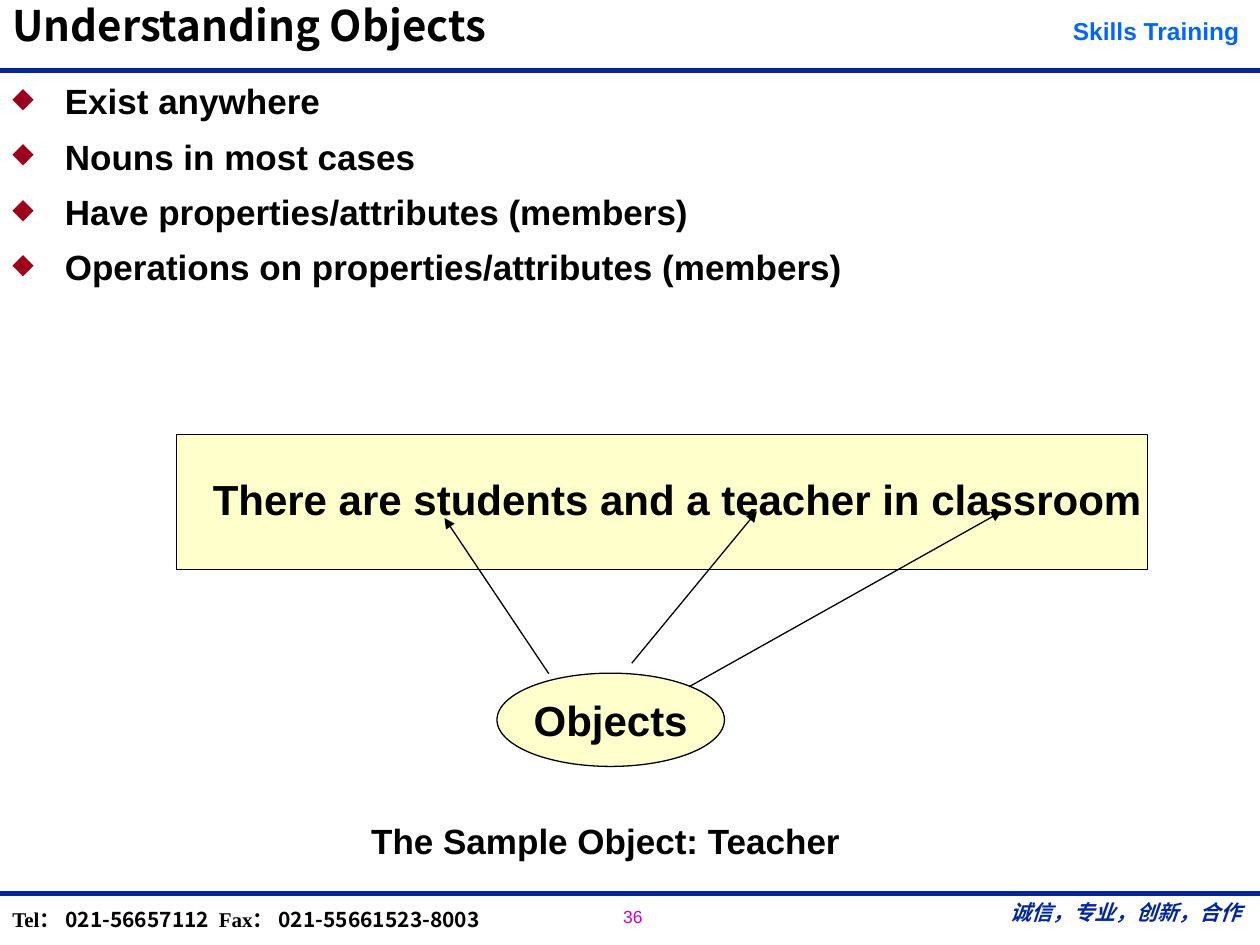
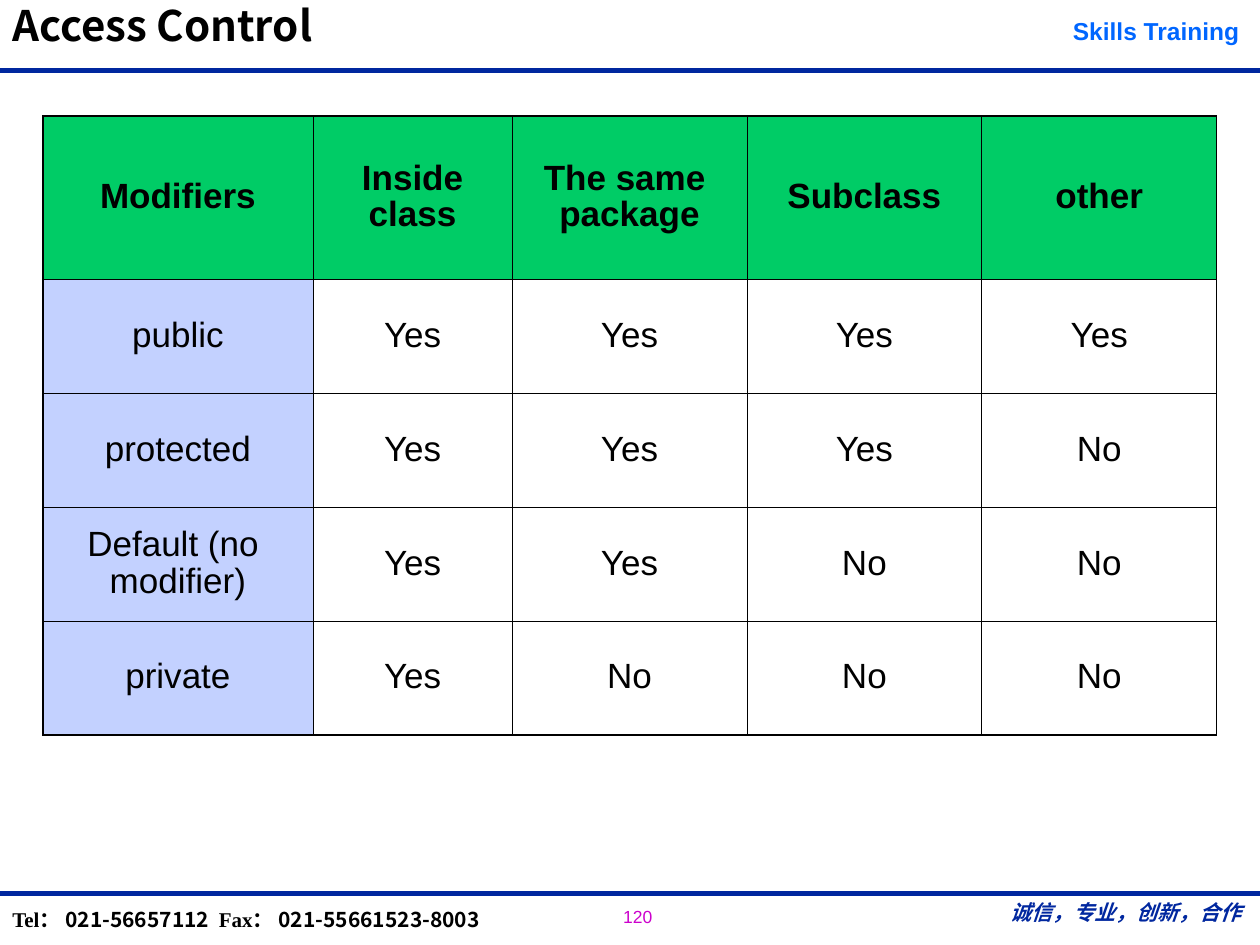
from dataclasses import dataclass
from lxml.etree import SubElement
from pptx import Presentation
from pptx.dml.color import RGBColor
from pptx.enum.shapes import MSO_CONNECTOR, MSO_SHAPE
from pptx.enum.text import MSO_ANCHOR, PP_ALIGN
from pptx.oxml.ns import qn
from pptx.util import Pt


@dataclass(frozen=True)
class Theme:
    black: RGBColor = RGBColor.from_string("000000")
    navy: RGBColor = RGBColor.from_string("00279F")
    blue: RGBColor = RGBColor.from_string("0066FF")
    magenta: RGBColor = RGBColor.from_string("CC00CC")
    cream: RGBColor = RGBColor.from_string("FFFFCC")
    header_green: RGBColor = RGBColor.from_string("00CC66")
    row_blue: RGBColor = RGBColor.from_string("C3D1FF")
    bullet_red: str = "9E001B"
    sans: str = "Arial"
    serif: str = "Times New Roman"
    cjk: str = "Noto Sans CJK SC"
    title: int = 24
    body: int = 20
    brand: int = 14
    footer: int = 12
    number: int = 10


theme = Theme()


def add_text(slide, box, text, size, color=theme.black, name=theme.sans, bold=True,
             align=PP_ALIGN.LEFT):
    """Add a text box with one font; box is left, top, width, height in points."""
    frame = slide.shapes.add_textbox(*[Pt(length) for length in box]).text_frame
    frame.word_wrap = True
    frame.text = text
    for paragraph in frame.paragraphs:
        paragraph.alignment = align
        paragraph.font.size = Pt(size)
        paragraph.font.name = name
        paragraph.font.bold = bold
        paragraph.font.color.rgb = color
    return frame


def add_line(slide, start, end, color, width, arrow=False):
    """Add a straight line between two points, with an optional arrowhead."""
    connector = slide.shapes.add_connector(
        MSO_CONNECTOR.STRAIGHT, *[Pt(length) for length in (*start, *end)])
    connector.line.color.rgb = color
    connector.line.width = Pt(width)
    properties = connector._element.spPr
    if arrow:
        SubElement(properties.find(qn("a:ln")), qn("a:tailEnd"), type="triangle")
    SubElement(properties, qn("a:effectLst"))


presentation = Presentation()
presentation.slide_width = Pt(720)
presentation.slide_height = Pt(540)

# Shared frame: rules, brand, footer, page number and title
contact_runs = [
    ("Tel： ", theme.footer, theme.serif, False),
    ("021-56657112", theme.footer, theme.cjk, False),
    (" ", 24, theme.cjk, True),
    ("Fax： ", theme.footer, theme.serif, False),
    ("021-55661523-8003", theme.footer, theme.cjk, False),
]
slogan_runs = [
    (" ", 18, theme.serif, True),
    ("诚信，专业，创新，合作", theme.footer, theme.serif, True),
]
footers = [
    ((564.5, 504.7, 154, 29), theme.navy, PP_ALIGN.CENTER, slogan_runs),
    ((0, 502.6, 309, 36), theme.black, PP_ALIGN.LEFT, contact_runs),
]
slides = []
for title, page in (("Understanding Objects", "36"), ("Access Control", "120")):
    slide = presentation.slides.add_slide(presentation.slide_layouts[6])
    slides.append(slide)
    for rule_top in (40.5, 510.5):
        add_line(slide, (0, rule_top), (720, rule_top), theme.navy, 2.75)
    add_text(slide, (349, 514, 60, 19), page, theme.number, theme.magenta, bold=False)
    add_text(slide, (603.4, 5.8, 114.5, 24), "Skills Training", theme.brand, theme.blue,
             align=PP_ALIGN.CENTER)
    for box, color, align, runs in footers:
        paragraph = add_text(slide, box, "", theme.footer, color, theme.serif,
                             align=align).paragraphs[0]
        for text, size, name, italic in runs:
            run = paragraph.add_run()
            run.text = text
            run.font.size = Pt(size)
            run.font.name = name
            run.font.italic = italic
            SubElement(run._r.get_or_add_rPr(), qn("a:ea"), typeface=theme.cjk)
    heading = add_text(slide, (0, 0, 600.5, 41), title, theme.title, name=theme.cjk)
    heading.paragraphs[0].line_spacing = 0.87

objects_slide, access_slide = slides

# Bulleted facts about objects
facts = [
    "Exist anywhere",
    "Nouns in most cases",
    "Have properties/attributes (members)",
    "Operations on properties/attributes (members)",
]
facts_frame = add_text(objects_slide, (0, 46, 720, 140), "\n".join(facts), theme.body)
for paragraph in facts_frame.paragraphs:
    paragraph.line_spacing = Pt(19.9)
    paragraph.space_before = paragraph.space_after = Pt(5.9)
    properties = paragraph._p.get_or_add_pPr()
    properties.set("marL", str(Pt(30)))
    properties.set("indent", str(Pt(-30)))
    bullet_color = properties.makeelement(qn("a:buClr"))
    SubElement(bullet_color, qn("a:srgbClr"), val=theme.bullet_red)
    bullet_size = properties.makeelement(qn("a:buSzPct"), val="80000")
    bullet = properties.makeelement(qn("a:buChar"), char="◆")
    font_defaults = properties.find(qn("a:defRPr"))
    for element in (bullet_color, bullet_size, bullet):
        font_defaults.addprevious(element)

# Sentence box and the ellipse that names its nouns
diagram = [
    (MSO_SHAPE.RECTANGLE, (100.8, 248.5, 555, 77), ""),
    (MSO_SHAPE.OVAL, (284, 384.7, 130, 53.3), "Objects"),
]
for kind, box, text in diagram:
    shape = objects_slide.shapes.add_shape(kind, *[Pt(length) for length in box])
    shape.shadow.inherit = False
    shape.fill.solid()
    shape.fill.fore_color.rgb = theme.cream
    shape.line.color.rgb = theme.black
    shape.line.width = Pt(0.75)
    if text:
        frame = shape.text_frame
        frame.word_wrap = False
        frame.vertical_anchor = MSO_ANCHOR.MIDDLE
        frame.text = text
        paragraph = frame.paragraphs[0]
        paragraph.alignment = PP_ALIGN.CENTER
        paragraph.font.size = Pt(theme.title)
        paragraph.font.name = theme.sans
        paragraph.font.bold = True
        paragraph.font.color.rgb = theme.black
add_text(objects_slide, (114.5, 267, 583, 36),
         "There are students and a teacher in classroom", theme.title)

# Arrows from the ellipse to each noun
arrows = [
    ((313.6, 385), (254, 296)),
    ((361, 379), (432.5, 292.3)),
    ((393.8, 392.4), (572.4, 292.3)),
]
for start, end in arrows:
    add_line(objects_slide, start, end, theme.black, 0.75, arrow=True)
add_text(objects_slide, (205, 465, 300, 31), "The Sample Object: Teacher", theme.body)

# Access table
rows = [
    ["Modifiers", "Inside class", "The same \vpackage", "Subclass", "other"],
    ["public", "Yes", "Yes", "Yes", "Yes"],
    ["protected", "Yes", "Yes", "Yes", "No"],
    ["Default (no \vmodifier)", "Yes", "Yes", "No", "No"],
    ["private", "Yes", "No", "No", "No"],
]
column_widths = [154.4, 113.8, 134.2, 134.2, 134.2]
row_heights = [93.4] + [65.1] * 4
table = access_slide.shapes.add_table(
    len(rows), len(column_widths), Pt(24.5), Pt(66.3),
    Pt(sum(column_widths)), Pt(sum(row_heights))).table
for column, width in zip(table.columns, column_widths):
    column.width = Pt(width)
for row, height in zip(table.rows, row_heights):
    row.height = Pt(height)

last_row, last_column = len(rows) - 1, len(column_widths) - 1
for row_index, values in enumerate(rows):
    for column_index, value in enumerate(values):
        cell = table.cell(row_index, column_index)
        cell.text = value
        cell.vertical_anchor = MSO_ANCHOR.MIDDLE
        paragraph = cell.text_frame.paragraphs[0]
        paragraph.alignment = PP_ALIGN.CENTER
        paragraph.line_spacing = 0.93
        paragraph.space_before = paragraph.space_after = Pt(5.9)
        paragraph.font.size = Pt(theme.body)
        paragraph.font.name = theme.sans
        paragraph.font.bold = row_index == 0
        paragraph.font.color.rgb = theme.black

        # Thick outer borders, thin inner ones
        outer_sides = {
            "a:lnL": column_index == 0,
            "a:lnR": column_index == last_column,
            "a:lnT": row_index == 0,
            "a:lnB": row_index == last_row,
        }
        properties = cell._tc.get_or_add_tcPr()
        for side, is_outer in outer_sides.items():
            border = SubElement(properties, qn(side), w=str(Pt(1.08 if is_outer else 0.45)))
            SubElement(SubElement(border, qn("a:solidFill")), qn("a:srgbClr"),
                       val=str(theme.black))

        # Green header, blue first column, plain answers
        if row_index and column_index:
            cell.fill.background()
        else:
            cell.fill.solid()
            cell.fill.fore_color.rgb = theme.row_blue if row_index else theme.header_green

presentation.save("out.pptx")
